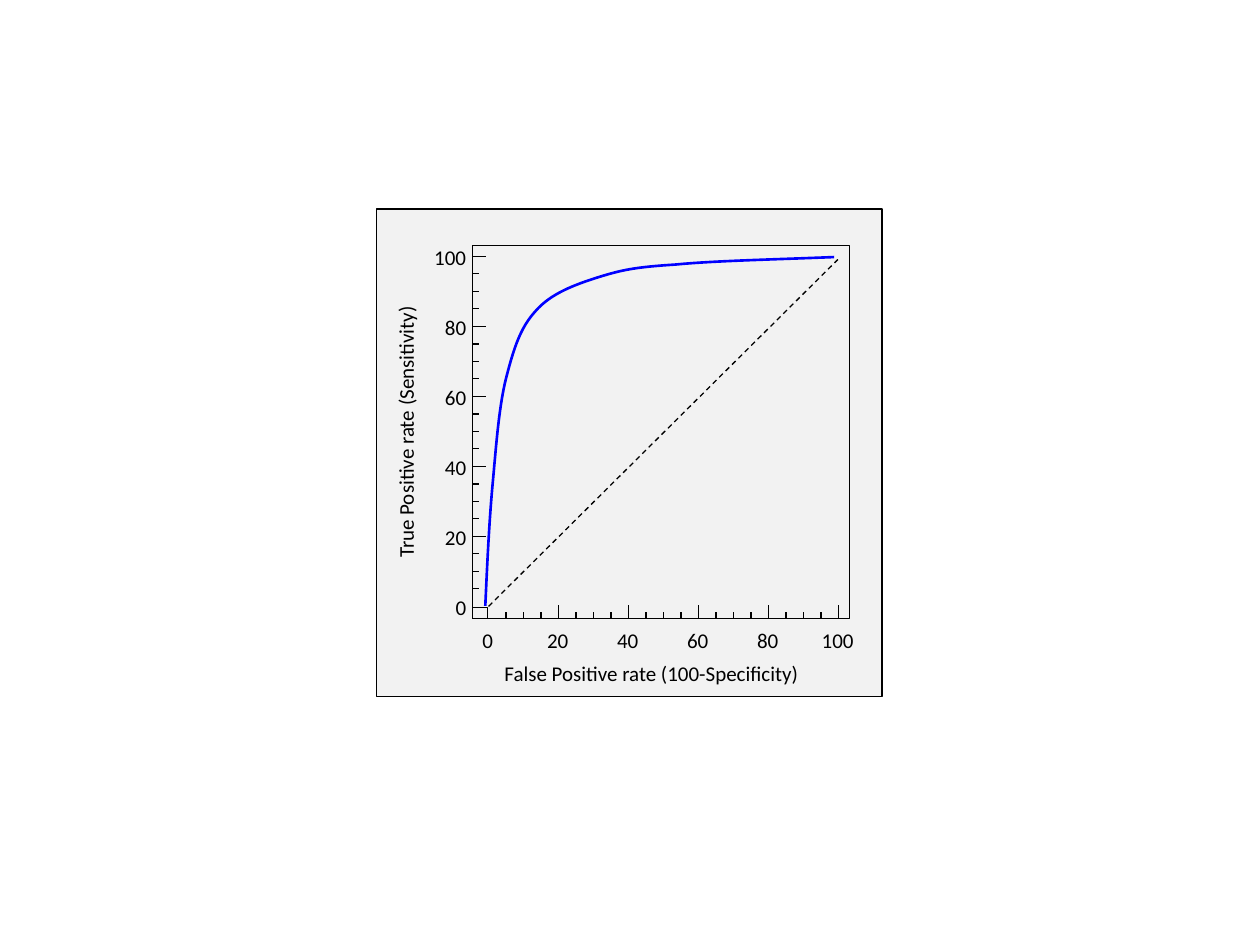
import pptx
import pptx.dml.color
import pptx.enum.dml
import pptx.enum.shapes
import pptx.enum.text
import pptx.oxml
import pptx.oxml.ns
import pptx.util

Pt = pptx.util.Pt
ALIGN = pptx.enum.text.PP_ALIGN
DASH = pptx.enum.dml.MSO_LINE.DASH
BLACK, BLUE, GREY = "000000", "0000FF", "F2F2F2"

PLOT_LEFT, PLOT_TOP, PLOT_W, PLOT_H = 270, 140.4, 215.3, 213.1
PLOT_BOTTOM = PLOT_TOP + PLOT_H
ZERO_X, ZERO_Y = 279.2, 346.5  # where both axes read 0
UNIT = 2.0  # points for each percent
TEXT_H = 14.6

# Start point, then two handles and an end point for each curve segment
ROC_POINTS = [
    (277.3, 346.2),
    (278.4, 322.6), (279.5, 298.1), (281.5, 276.5),
    (283.5, 254.9), (285.1, 231.8), (289.4, 215.3),
    (293.7, 198.7), (297.4, 187.2), (306, 177.8),
    (314.6, 167.8), (328.3, 162.7), (342, 158.4),
    (355.7, 154.1), (363.6, 152.6), (385.9, 151.2),
    (408.2, 149), (442.8, 148.3), (476.6, 146.9),
]


def rgb(value):
    """Turn a hex string into a colour."""
    return pptx.dml.color.RGBColor.from_string(value)


def style_line(sp, color=BLACK, width=0.75):
    """Set the colour and width of an outline."""
    sp.line.color.rgb = rgb(color)
    sp.line.width = Pt(width)


def add_box(shapes, left, top, width, height, fill=None):
    """Add an outlined rectangle, filled if a colour is given."""
    sp = shapes.add_shape(pptx.enum.shapes.MSO_SHAPE.RECTANGLE,
                          Pt(left), Pt(top), Pt(width), Pt(height))
    sp.shadow.inherit = False
    if fill:
        sp.fill.solid()
        sp.fill.fore_color.rgb = rgb(fill)
    else:
        sp.fill.background()
    style_line(sp)


def add_line(shapes, x1, y1, x2, y2):
    """Add a straight black line and return it."""
    sp = shapes.add_connector(pptx.enum.shapes.MSO_CONNECTOR.STRAIGHT,
                              Pt(x1), Pt(y1), Pt(x2), Pt(y2))
    style_line(sp)
    pptx.oxml.ns.qn("a:effectLst")
    sp._element.spPr.append(pptx.oxml.parse_xml(
        "<a:effectLst %s/>" % pptx.oxml.ns.nsdecls("a")))
    return sp


def add_curve(shapes, points):
    """Add a blue open curve through cubic Bezier segments."""
    pts = [(Pt(x), Pt(y)) for x, y in points]
    builder = shapes.build_freeform(*pts[0], scale=1.0)
    builder.add_line_segments(pts[1:], close=False)
    sp = builder.convert_to_shape()
    sp.shadow.inherit = False
    sp.fill.background()
    style_line(sp, BLUE, 1.5)
    qn = pptx.oxml.ns.qn
    steps = list(sp._element.iter(qn("a:lnTo")))
    for i in range(0, len(steps), 3):
        bezier = pptx.oxml.parse_xml(
            "<a:cubicBezTo %s/>" % pptx.oxml.ns.nsdecls("a"))
        steps[i].addprevious(bezier)
        for step in steps[i:i + 3]:
            bezier.append(step[0])
            step.getparent().remove(step)


def add_label(shapes, text, left, mid_y, width, align=ALIGN.CENTER, rotation=0):
    """Add a line of text centred vertically on mid_y."""
    sp = shapes.add_textbox(Pt(left), Pt(mid_y - TEXT_H / 2),
                            Pt(width), Pt(TEXT_H))
    sp.rotation = rotation
    tf = sp.text_frame
    tf.word_wrap = False
    tf.margin_left = tf.margin_right = tf.margin_top = tf.margin_bottom = 0
    p = tf.paragraphs[0]
    p.text = text
    p.alignment = align
    p.font.name = "Calibri"
    p.font.size = Pt(12)
    p.font.color.rgb = rgb(BLACK)


def add_axes(shapes):
    """Add ticks every 5 percent and labels every 20 on both axes."""
    for value in range(0, 101, 5):
        x, y = ZERO_X + value * UNIT, ZERO_Y - value * UNIT
        major = value % 20 == 0
        if value:
            length = 7.5 if major else 4
            add_line(shapes, PLOT_LEFT, y, PLOT_LEFT + length, y)
            add_line(shapes, x, PLOT_BOTTOM, x, PLOT_BOTTOM - length)
        if major:
            width = 6.2 * len(str(value))
            add_label(shapes, str(value), 266.4 - width, y + 0.5, width,
                      ALIGN.RIGHT)
            add_label(shapes, str(value), x - width / 2 - 0.5, 365.9, width)


def main():
    """Build the slide with the ROC curve diagram."""
    prs = pptx.Presentation()
    prs.slide_width, prs.slide_height = Pt(720), Pt(540)
    slide = prs.slides.add_slide(prs.slide_layouts[6])
    shapes = slide.shapes.add_group_shape().shapes

    add_box(shapes, 215.3, 119.5, 288.7, 278.6, GREY)
    add_box(shapes, PLOT_LEFT, PLOT_TOP, PLOT_W, PLOT_H)
    add_box(shapes, PLOT_LEFT, 347, 8.6, PLOT_BOTTOM - 347)
    add_curve(shapes, ROC_POINTS)
    diagonal = add_line(shapes, ZERO_X, ZERO_Y, 478.8, 148.3)
    diagonal.line.dash_style = DASH
    add_axes(shapes)
    add_label(shapes, "False Positive rate (100-Specificity)", 287.3, 384.6, 170)
    add_label(shapes, "True Positive rate (Sensitivity)", 159.1, 247, 145.4,
              rotation=270)
    prs.save("out.pptx")


main()
